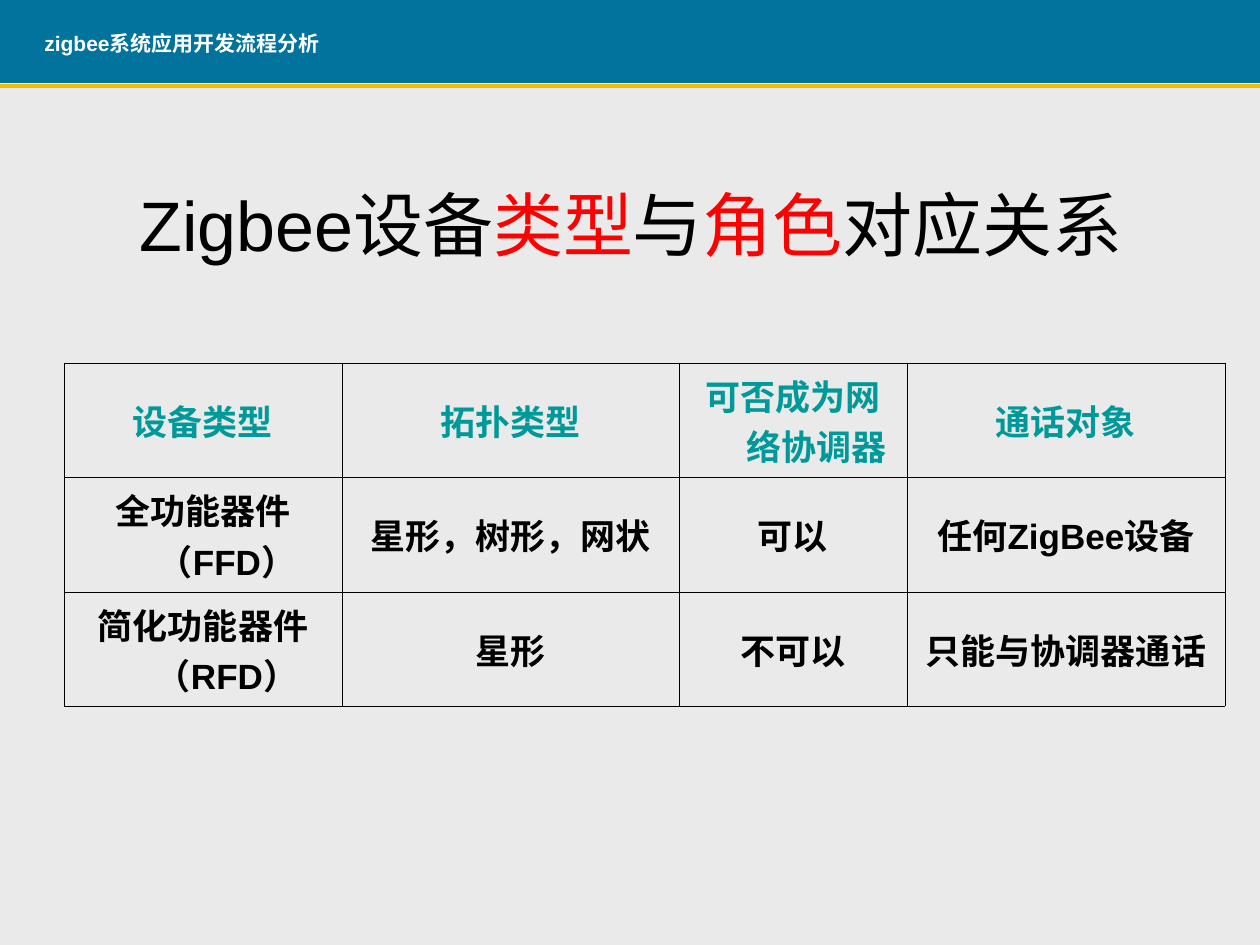
"""Build the Zigbee device type and role slide."""
from dataclasses import dataclass

from lxml.etree import SubElement
from pptx import Presentation
from pptx.dml.color import RGBColor
from pptx.enum.shapes import MSO_CONNECTOR, MSO_SHAPE
from pptx.enum.text import MSO_ANCHOR, PP_ALIGN
from pptx.oxml import parse_xml
from pptx.oxml.ns import nsdecls, qn
from pptx.util import Emu, Pt

PIXELS_PER_INCH = 126


@dataclass(frozen=True)
class Theme:
    font: str = "Arial"
    page: str = "EAEAEA"
    band: str = "01739C"
    rule: str = "F3B800"
    light: str = "FFFFFF"
    ink: str = "000000"
    accent: str = "FF0000"
    heading: str = "009999"
    header_size: int = 12
    title_size: int = 40
    table_size: int = 20
    rule_width: float = 2.5
    border_width: float = 0.45


@dataclass(frozen=True)
class Box:
    left: int
    top: int
    width: int
    height: int

    def emu(self) -> tuple[Emu, Emu, Emu, Emu]:
        return px(self.left), px(self.top), px(self.width), px(self.height)


@dataclass(frozen=True)
class Span:
    text: str
    color: str
    size: int
    bold: bool = False


THEME = Theme()
PAGE = Box(0, 0, 1260, 945)
BAND = Box(0, 0, 1260, 83)
HEADER = Box(32, 24, 586, 38)
TITLE = Box(64, 144, 1134, 158)
RULE_TOP = 86
TABLE_LEFT, TABLE_TOP = 64, 363
COLUMN_WIDTHS = (278, 337, 228, 318)
ROW_HEIGHTS = (114, 115, 114)
HANGING_INDENT = 48
TITLE_PARTS = (
    ("Zigbee设备", THEME.ink),
    ("类型", THEME.accent),
    ("与", THEME.ink),
    ("角色", THEME.accent),
    ("对应关系", THEME.ink),
)
DEVICE_ROWS = (
    ("设备类型", "拓扑类型", "可否成为网络协调器", "通话对象"),
    ("全功能器件（FFD）", "星形，树形，网状", "可以", "任何ZigBee设备"),
    ("简化功能器件（RFD）", "星形", "不可以", "只能与协调器通话"),
)


def px(length: int) -> Emu:
    return Emu(round(length * 914400 / PIXELS_PER_INCH))


def color(value: str) -> RGBColor:
    return RGBColor.from_string(value)


def write_spans(para, spans: list[Span], align: PP_ALIGN) -> None:
    para.alignment = align
    for span in spans:
        run = para.add_run()
        run.text = span.text
        run.font.name = THEME.font
        run.font.size = Pt(span.size)
        run.font.bold = span.bold
        run.font.color.rgb = color(span.color)


def add_text(page, box: Box, spans: list[Span], align: PP_ALIGN, anchor: MSO_ANCHOR) -> None:
    frame = page.shapes.add_textbox(*box.emu()).text_frame
    frame.word_wrap = True
    frame.vertical_anchor = anchor
    write_spans(frame.paragraphs[0], spans, align)


def add_panel(page, box: Box, fill: str) -> None:
    panel = page.shapes.add_shape(MSO_SHAPE.RECTANGLE, *box.emu())
    panel.shadow.inherit = False
    panel.fill.solid()
    panel.fill.fore_color.rgb = color(fill)
    panel.line.fill.background()


def add_rule(page, top: int) -> None:
    rule = page.shapes.add_connector(
        MSO_CONNECTOR.STRAIGHT, px(0), px(top), px(PAGE.width), px(top)
    )
    rule.line.color.rgb = color(THEME.rule)
    rule.line.width = Pt(THEME.rule_width)
    SubElement(rule.element.spPr, qn("a:effectLst"))


def add_borders(cell) -> None:
    properties = cell._tc.get_or_add_tcPr()
    for position, side in enumerate(("lnL", "lnR", "lnT", "lnB")):
        border = parse_xml(
            f'<a:{side} {nsdecls("a")} w="{Pt(THEME.border_width)}"><a:solidFill>'
            f'<a:srgbClr val="{THEME.ink}"/></a:solidFill></a:{side}>'
        )
        properties.insert(position, border)


def fill_cell(cell, span: Span) -> None:
    cell.fill.background()
    cell.vertical_anchor = MSO_ANCHOR.MIDDLE
    add_borders(cell)
    para = cell.text_frame.paragraphs[0]
    indents = para._p.get_or_add_pPr()
    indents.set("marL", str(px(HANGING_INDENT)))
    indents.set("indent", str(-px(HANGING_INDENT)))
    write_spans(para, [span], PP_ALIGN.CENTER)


def add_device_table(page) -> None:
    box = Box(TABLE_LEFT, TABLE_TOP, sum(COLUMN_WIDTHS), sum(ROW_HEIGHTS))
    table = page.shapes.add_table(len(ROW_HEIGHTS), len(COLUMN_WIDTHS), *box.emu()).table
    table.first_row = table.horz_banding = False
    for column, width in zip(table.columns, COLUMN_WIDTHS):
        column.width = px(width)
    for row_index, (row, height) in enumerate(zip(table.rows, ROW_HEIGHTS)):
        row.height = px(height)
        ink = THEME.ink if row_index else THEME.heading
        for cell, text in zip(row.cells, DEVICE_ROWS[row_index]):
            fill_cell(cell, Span(text, ink, THEME.table_size, bold=True))


def main() -> None:
    deck = Presentation()
    deck.slide_width, deck.slide_height = px(PAGE.width), px(PAGE.height)
    page = deck.slides.add_slide(deck.slide_layouts[6])
    add_panel(page, PAGE, THEME.page)
    add_panel(page, BAND, THEME.band)
    header = Span("zigbee系统应用开发流程分析", THEME.light, THEME.header_size, bold=True)
    add_text(page, HEADER, [header], PP_ALIGN.LEFT, MSO_ANCHOR.TOP)
    add_rule(page, RULE_TOP)
    title = [Span(text, ink, THEME.title_size) for text, ink in TITLE_PARTS]
    add_text(page, TITLE, title, PP_ALIGN.CENTER, MSO_ANCHOR.MIDDLE)
    add_device_table(page)
    deck.save("out.pptx")


if __name__ == "__main__":
    main()
